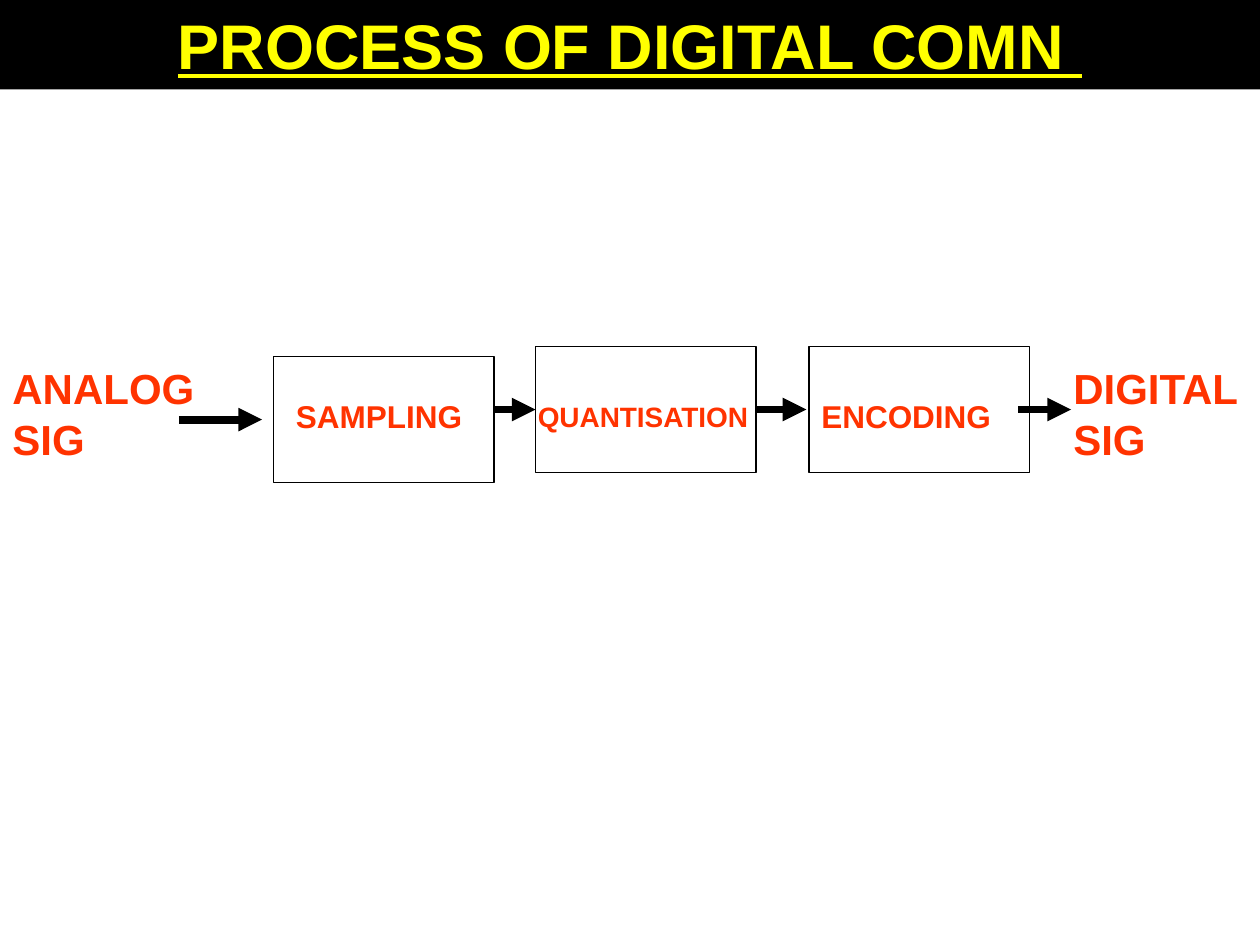
from lxml import etree
from pptx import Presentation
from pptx.dml.color import RGBColor
from pptx.enum.shapes import MSO_CONNECTOR as CONN, MSO_SHAPE as SHAPE
from pptx.enum.text import MSO_ANCHOR as ANCHOR, PP_ALIGN as ALIGN
from pptx.oxml.ns import qn
from pptx.util import Inches, Pt

COLORS = {"black": "000000", "title": "FFFF00", "label": "FF3300"}


class Diagram:
    font = "Arial"

    def __init__(self, slide):
        self.s = slide

    def color(self, name):
        return RGBColor.from_string(COLORS[name])

    def set_text(self, sp, text, size, color, align=ALIGN.LEFT, underline=None):
        tf = sp.text_frame
        tf.word_wrap = True
        tf.vertical_anchor = ANCHOR.TOP
        p = tf.paragraphs[0]
        p.text = text
        p.alignment = align
        f = p.font
        f.name, f.size, f.bold, f.underline = self.font, Pt(size), True, underline
        f.color.rgb = self.color(color)
        # Half a line before, relative to the font size
        before = etree.Element(qn("a:spcBef"))
        etree.SubElement(before, qn("a:spcPct")).set("val", "50000")
        p._p.get_or_add_pPr().insert(0, before)

    def rect(self, x, y, w, h):
        sp = self.s.shapes.add_shape(
            SHAPE.RECTANGLE, Inches(x), Inches(y), Inches(w), Inches(h))
        sp.shadow.inherit = False
        return sp

    def title_bar(self, text):
        sp = self.rect(0, 0, 10, 0.71)
        sp.fill.solid()
        sp.fill.fore_color.rgb = self.color("black")
        sp.line.fill.background()
        self.set_text(sp, text, 36, "title", ALIGN.CENTER, True)

    def label(self, text, x, y, w, h, size):
        sp = self.s.shapes.add_textbox(Inches(x), Inches(y), Inches(w), Inches(h))
        self.set_text(sp, text, size, "label")

    def box(self, x, y):
        sp = self.rect(x, y, 1.75, 1)
        sp.fill.background()
        sp.line.color.rgb = self.color("black")
        sp.line.width = Pt(0.75)

    def arrow(self, x1, x2, y):
        c = self.s.shapes.add_connector(
            CONN.STRAIGHT, Inches(x1), Inches(y), Inches(x2), Inches(y))
        c.line.color.rgb = self.color("black")
        c.line.width = Pt(4.5)
        etree.SubElement(c.line._get_or_add_ln(), qn("a:tailEnd")).set("type", "triangle")
        etree.SubElement(c._element.spPr, qn("a:effectLst"))


def main():
    prs = Presentation()
    prs.slide_width, prs.slide_height = Inches(10), Inches(7.5)
    d = Diagram(prs.slides.add_slide(prs.slide_layouts[6]))

    d.title_bar("PROCESS OF DIGITAL COMN ")
    d.label("SAMPLING", 2.25, 3.1, 1.58, 0.4, 18)
    d.label("QUANTISATION", 4.17, 3.12, 1.92, 0.37, 16)
    d.label("ENCODING", 6.42, 3.1, 1.75, 0.4, 18)
    for x, y in [(2.17, 2.83), (4.25, 2.75), (6.42, 2.75)]:
        d.box(x, y)
    for x1, x2, y in [(1.42, 2.08, 3.33), (3.92, 4.25, 3.25),
                      (6, 6.4, 3.25), (8.08, 8.5, 3.25)]:
        d.arrow(x1, x2, y)
    d.label("ANALOG SIG", 0, 2.83, 1.75, 0.9, 24)
    d.label("DIGITAL SIG", 8.42, 2.83, 2, 0.9, 24)

    prs.save("out.pptx")


if __name__ == "__main__":
    main()
